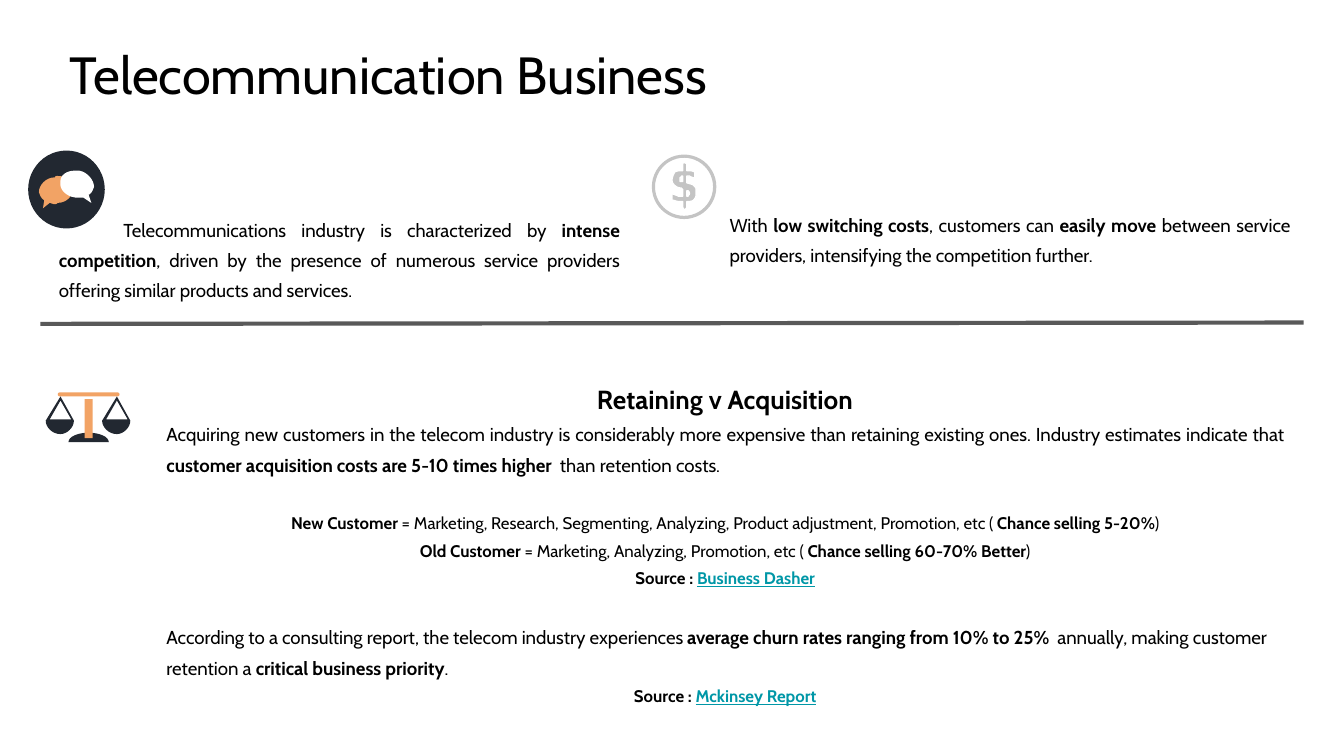
from pptx import Presentation
from pptx.dml.color import RGBColor
from pptx.enum.shapes import MSO_CONNECTOR as Connector, MSO_SHAPE as Shape
from pptx.enum.text import MSO_ANCHOR as Anchor, PP_ALIGN as Align
from pptx.oxml.ns import qn
from pptx.util import Inches, Pt
from lxml.etree import SubElement

BLACK = RGBColor(0x00, 0x00, 0x00)
WHITE = RGBColor(0xFF, 0xFF, 0xFF)
NAVY = RGBColor(0x22, 0x28, 0x31)
ORANGE = RGBColor(0xF2, 0xA3, 0x65)
SILVER = RGBColor(0xC4, 0xC4, 0xC4)
GRAY = RGBColor(0x59, 0x59, 0x59)
TEAL = RGBColor(0x00, 0x97, 0xA7)

LEFT_BUBBLE = ["14 0, 13 0 12 0 12 1, 5 1 0 7 0 12, 1 15 2 17 4 18, 3 24, 8 20, "
               "9 20 10 21 12 21, 12 21 13 21 14 20, 21 20 26 14 25 9, 25 4 20 0 14 0"]
RIGHT_BUBBLE = ["12 0, 6 0 1 3 1 8, 0 14 5 19 12 20, 13 20 13 20 14 20, 18 20, 24 24, "
                "22 18, 24 17 25 15 26 12, 26 7 21 1 15 0, 14 0 13 0 12 0"]
DOLLAR = [
    "9 0, 8 0 8 1 8 1, 8 6, 5 6 4 6 2 7, 1 9 0 11 0 13, 0 15 1 16 2 17, 3 18 5 19 7 19, "
    "8 20, 8 25, 7 25 6 25 5 25, 3 24 2 24 0 23, 0 28, 2 28 3 29 5 29, 8 29, 8 33, "
    "8 34 9 35 9 35, 10 35 11 34 11 33, 11 29, 13 29 15 29 16 28, 18 26 18 25 18 22, "
    "18 20 18 18 17 18, 16 16 14 16 11 15, 11 10, 13 10, 14 11 16 11 17 12, 17 7, "
    "15 6 14 6 13 6, 11 6, 11 1, 11 1 10 0 9 0",
    "8 10, 8 14, 7 14 7 14 6 14, 6 13 6 13 6 12, 6 11 6 11 7 11, 7 10 7 10 8 10",
    "11 21, 12 21, 12 21 13 22 13 23, 13 24 12 24 12 25, 11 25",
]
SCALE_FOOT = ["15 0, 7 0 0 3 0 7, 30 7, 30 3 23 0 15 0"]
SCALE_PAN = ["11 0, 0 18, 0 23 5 28 11 28, 16 28 21 23 21 18", "11 3, 19 17, 3 17"]


def cells(count):
    return Inches(count / 10)


def trace(contour, steps=8):
    """Return the points of a contour whose segments are lines or cubic curves."""
    points = []
    for segment in contour.split(","):
        numbers = [int(word) for word in segment.split()]
        pairs = list(zip(numbers[::2], numbers[1::2]))
        if len(pairs) == 1:
            points += pairs
            continue
        curve = [points[-1]] + pairs
        for step in range(1, steps + 1):
            t = step / steps
            weights = ((1 - t) ** 3, 3 * t * (1 - t) ** 2, 3 * t * t * (1 - t), t ** 3)
            points.append(tuple(sum(w * p[axis] for w, p in zip(weights, curve))
                                for axis in (0, 1)))
    return points


class Painter:
    """Draws styled elements on a page with a grid of tenths of an inch."""

    font = "Cabin"
    leading = 1.36

    def __init__(self, page):
        self.page = page

    def paint(self, shape, fill, edge=None):
        shape.shadow.inherit = False
        shape.fill.solid()
        shape.fill.fore_color.rgb = fill
        if edge is None:
            shape.line.fill.background()
        else:
            shape.line.color.rgb = edge
            shape.line.width = Pt(0.75)

    def preset(self, kind, col, row, wide, high, fill, adjust=None):
        shape = self.page.shapes.add_shape(kind, *map(cells, (col, row, wide, high)))
        if adjust is not None:
            shape.adjustments[0] = adjust
        self.paint(shape, fill)

    def outline(self, contours, col, row, fill, edge=None):
        builder = None
        for contour in contours:
            points = [(cells(col + x / 10), cells(row + y / 10)) for x, y in trace(contour)]
            if builder is None:
                builder = self.page.shapes.build_freeform(*points[0])
            else:
                builder.move_to(*points[0])
            builder.add_line_segments(points[1:], close=True)
        self.paint(builder.convert_to_shape(), fill, edge)

    def rule(self, start, end):
        line = self.page.shapes.add_connector(Connector.STRAIGHT, *map(cells, start + end))
        line.line.color.rgb = GRAY
        line.line.width = Pt(2.25)
        SubElement(line._element.spPr, qn("a:effectLst"))

    def box(self, col, row, wide, high, anchor=Anchor.TOP, top=1):
        frame = self.page.shapes.add_textbox(*map(cells, (col, row, wide, high))).text_frame
        frame.word_wrap = True
        frame.vertical_anchor = anchor
        frame.margin_left = frame.margin_right = frame.margin_bottom = cells(1)
        frame.margin_top = cells(top)
        return frame

    def para(self, frame, text, size=10, align=Align.JUSTIFY, before=0, link="",
             leading=leading, indent=0):
        """Add a paragraph in which asterisks enclose bold words."""
        para = frame.paragraphs[0]
        if para.runs:
            para = frame.add_paragraph()
        para.alignment = align
        para.line_spacing = leading
        para.space_before = Pt(before)
        if indent:
            para._p.get_or_add_pPr().set("indent", str(cells(indent)))
        pieces = [(words, index % 2 == 1, False) for index, words in enumerate(text.split("*"))]
        pieces.append((link, True, True))
        for words, bold, linked in pieces:
            if not words:
                continue
            span = para.add_run()
            span.text = words
            span.font.name = self.font
            span.font.size = Pt(size)
            span.font.bold = bold
            span.font.underline = linked
            span.font.color.rgb = TEAL if linked else BLACK


def main():
    deck = Presentation()
    deck.slide_width = Inches(10)
    deck.slide_height = deck.slide_width * 9 // 16
    painter = Painter(deck.slides.add_slide(deck.slide_layouts[6]))

    title = painter.box(4.2, 2.8, 84.5, 5.3, Anchor.MIDDLE)
    painter.para(title, "Telecommunication Business", 28, Align.LEFT, leading=1.0)

    rivalry = painter.box(3.4, 14.3, 43.7, 12.2, top=1.35)
    painter.para(rivalry, "Telecommunications industry is characterized by *intense competition*, "
                 "driven by the presence of numerous service providers offering similar products "
                 "and services.", indent=4.8)
    switching = painter.box(53.3, 14.3, 43.7, 9.5)
    painter.para(switching, "With *low switching costs*, customers can *easily move* between "
                 "service providers, intensifying the competition further.")

    painter.preset(Shape.OVAL, 2.1, 11.2, 5.7, 5.8, NAVY)
    painter.outline(LEFT_BUBBLE, 2.9, 13.1, ORANGE)
    painter.outline(RIGHT_BUBBLE, 4.4, 12.7, WHITE)
    painter.preset(Shape.DONUT, 48.5, 11.5, 4.8, 4.8, SILVER, 0.05)
    painter.outline(DOLLAR, 50, 12.1, SILVER, WHITE)
    painter.rule((3, 24.1), (97, 24))

    painter.outline(SCALE_FOOT, 5.1, 32.2, NAVY)
    painter.preset(Shape.RECTANGLE, 6.3, 29.7, 0.6, 2.9, ORANGE)
    painter.preset(Shape.ROUNDED_RECTANGLE, 4.3, 29.2, 4.6, 0.3, ORANGE, 0.5)
    for col in (7.6, 3.4):
        painter.outline(SCALE_PAN, col, 29.5, NAVY)

    costs = painter.box(11.4, 26.7, 85.1, 20.6)
    painter.para(costs, "*Retaining v Acquisition*", 14, Align.CENTER)
    painter.para(costs, "Acquiring new customers in the telecom industry is considerably more "
                 "expensive than retaining existing ones. Industry estimates indicate that "
                 "*customer acquisition costs are 5-10 times higher * than retention costs.")
    painter.para(costs, "*New Customer* = Marketing, Research, Segmenting, Analyzing, Product "
                 "adjustment, Promotion, etc ( *Chance selling 5-20%*)", 9, Align.CENTER, 16)
    painter.para(costs, "*Old Customer* = Marketing, Analyzing, Promotion, etc ( "
                 "*Chance selling 60-70% Better*)", 9, Align.CENTER)
    painter.para(costs, "*Source : *", 9, Align.CENTER, link="Business Dasher")
    painter.para(costs, "According to a consulting report, the telecom industry experiences "
                 "*average churn rates ranging from 10% to 25% * annually, making customer "
                 "retention a *critical business priority*.", align=Align.LEFT, before=16)
    painter.para(costs, "*Source : *", 9, Align.CENTER, link="Mckinsey Report")

    deck.save("out.pptx")


if __name__ == "__main__":
    main()
